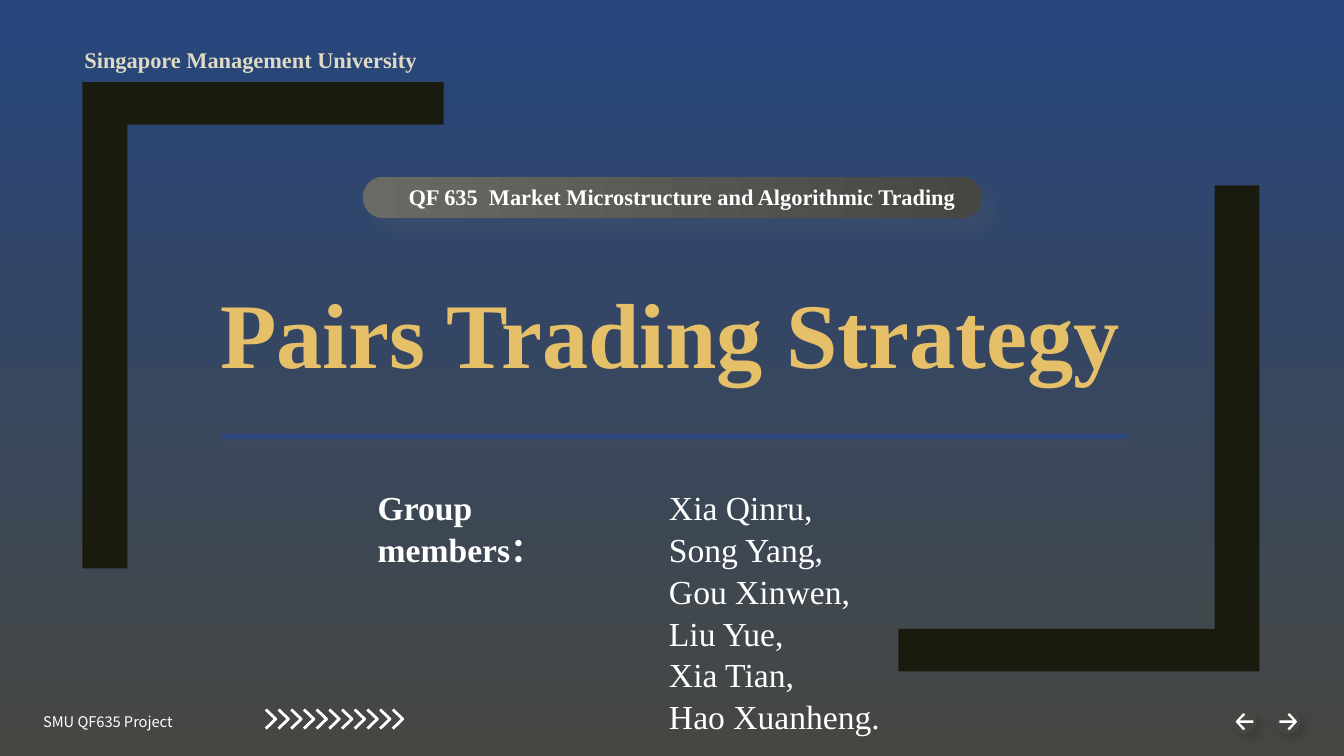
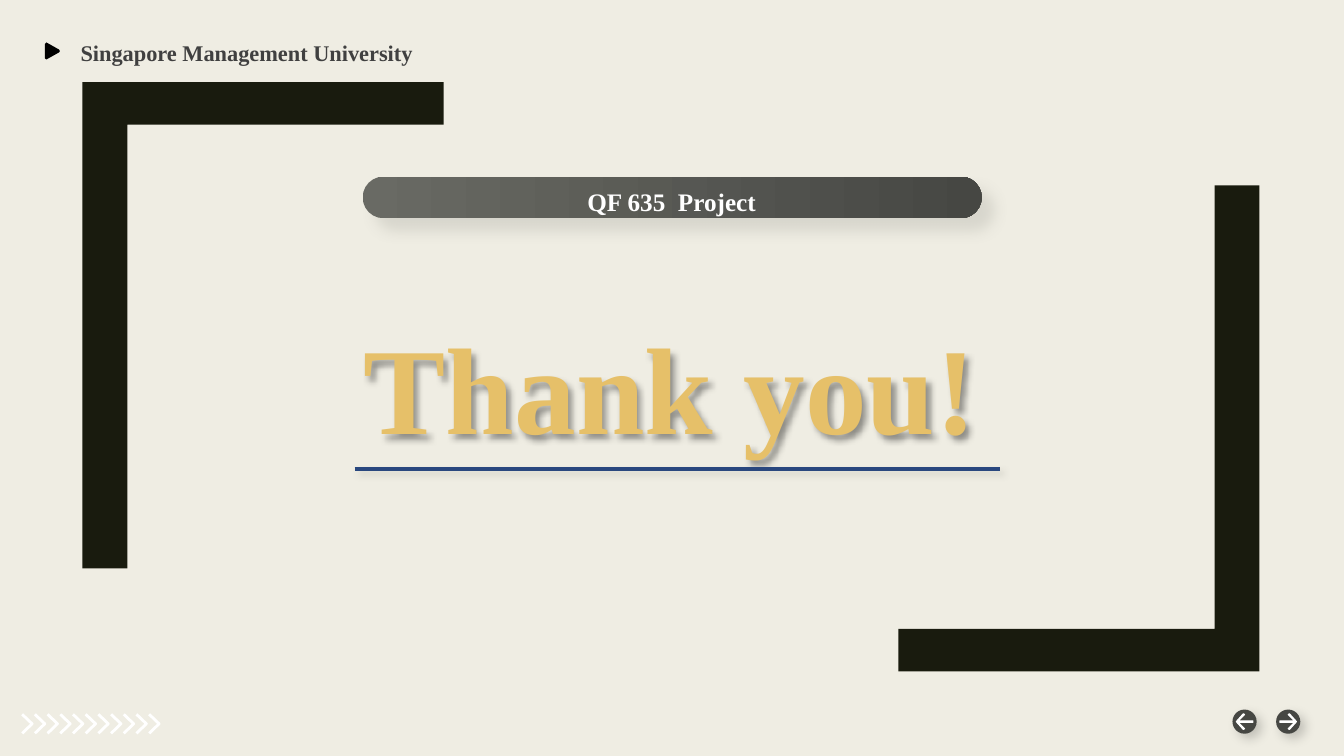
from lxml import etree
from pptx import Presentation
from pptx.dml.color import RGBColor
from pptx.enum.shapes import MSO_CONNECTOR, MSO_SHAPE
from pptx.enum.text import PP_ALIGN
from pptx.oxml.ns import qn
from pptx.util import Cm, Pt

ELLIPSE = MSO_SHAPE.OVAL
ROUNDED = MSO_SHAPE.ROUNDED_RECTANGLE
STRAIGHT = MSO_CONNECTOR.STRAIGHT
LEFT, CENTER = PP_ALIGN.LEFT, PP_ALIGN.CENTER

SERIF, SANS = "Times New Roman", "Noto Sans CJK SC"
WHITE, GOLD, CREAM = "FFFFFF", "E6C069", "EFEDE3"
NIGHT, SLATE, STONE = "191B0E", "464743", "696A64"
NAVY, BLUE = "27467D", "29477E"
BLACK, CHARCOAL, SAND = "000000", "404040", "DEDAC5"
BUTTON_SHADOW = ("0D0D0D", 20, 8, 5)
PILL_SHADOW = (STONE, 16, 10, 12)
RULE_SHADOW = (STONE, 20, 5, 4)
TITLE_SHADOW = (BLACK, 40, 4, 3)

HEADING = "Singapore Management University"
MEMBERS = ["Xia Qinru,", "Song Yang,", "Gou Xinwen,", "Liu Yue,", "Xia Tian,", "Hao Xuanheng."]


def color(value):
    return RGBColor.from_string(value)


def paint(fill, value):
    fill.solid()
    fill.fore_color.rgb = color(value)


def paint_gradient(fill, start, end, angle):
    fill.gradient()
    fill.gradient_angle = angle
    for stop, value in zip(fill.gradient_stops, (start, end)):
        stop.color.rgb = color(value)


def set_shadow(shape, shadow=None):
    properties = shape._element.spPr
    for effects in properties.findall(qn("a:effectLst")):
        properties.remove(effects)
    effects = etree.SubElement(properties, qn("a:effectLst"))
    if shadow:
        value, opacity, blur, distance = shadow
        outer = etree.SubElement(
            effects, qn("a:outerShdw"), blurRad=str(Pt(blur)), dist=str(Pt(distance)),
            dir=str(45 * 60000), algn="tl", rotWithShape="0")
        tone = etree.SubElement(outer, qn("a:srgbClr"), val=value)
        etree.SubElement(tone, qn("a:alpha"), val=str(opacity * 1000))


def add_outline(slide, points, fill=None, line=None, width=0.75, close=True):
    points = [(Cm(x), Cm(y)) for x, y in points]
    builder = slide.shapes.build_freeform(*points[0])
    builder.add_line_segments(points[1:], close=close)
    shape = builder.convert_to_shape()
    if fill:
        paint(shape.fill, fill)
    else:
        shape.fill.background()
    if line:
        paint(shape.line.fill, line)
        shape.line.width = Pt(width)
    else:
        shape.line.fill.background()
    set_shadow(shape)


def add_text(slide, box, lines, size, value, bold=True, font=SERIF, align=LEFT, spacing=None):
    shape = slide.shapes.add_textbox(*map(Cm, box))
    frame = shape.text_frame
    frame.word_wrap = True
    for index, line in enumerate(lines):
        paragraph = frame.add_paragraph() if index else frame.paragraphs[0]
        paragraph.text = line
        paragraph.alignment = align
        paragraph.line_spacing = spacing
        paragraph.font.name = font
        paragraph.font.size = Pt(size)
        paragraph.font.bold = bold
        paragraph.font.color.rgb = color(value)
    return shape


def add_bracket(slide, x, y, direction):
    length, height, post, beam = 9.1, 12.25, 1.13, 1.07
    corners = [(0, 0), (length, 0), (length, beam), (post, beam), (post, height), (0, height)]
    add_outline(slide, [(x + direction * dx, y + direction * dy) for dx, dy in corners], NIGHT)


def add_button(slide, x, y, direction):
    size = 0.61
    disc = slide.shapes.add_shape(ELLIPSE, Cm(x), Cm(y), Cm(size), Cm(size))
    paint(disc.fill, SLATE)
    disc.line.fill.background()
    set_shadow(disc, BUTTON_SHADOW)
    arrow = [(0, 0.18), (0.03, 0.2), (0.21, 0), (0.03, -0.2), (0, -0.18),
             (0.16, -0.02), (-0.21, -0.02), (-0.21, 0.02), (0.16, 0.02)]
    middle = size / 2
    add_outline(slide, [(x + middle + direction * dx, y + middle + dy) for dx, dy in arrow],
                WHITE, WHITE)


def add_chevrons(slide, x, y):
    count, pitch, width, height = 11, 0.32, 0.25, 0.48
    for index in range(count):
        left = x + index * pitch
        add_outline(slide, [(left, y), (left + width, y + height / 2), (left, y + height)],
                    line=WHITE, width=2, close=False)


def add_heading(slide, marker_top, marker_color, text_left, text_top, text_color):
    marker = [(0, 0.04), (0.04, 0), (0.36, 0.18), (0.38, 0.22), (0.36, 0.25), (0.04, 0.43), (0, 0.4)]
    add_outline(slide, [(1.13 + dx, marker_top + dy) for dx, dy in marker], marker_color)
    add_text(slide, (text_left, text_top, 11.18, 0.94), [HEADING], 16, text_color)


def add_pill(slide, label, label_box, size):
    pill = slide.shapes.add_shape(ROUNDED, Cm(9.14), Cm(4.45), Cm(15.6), Cm(1.05))
    pill.adjustments[0] = 0.5
    paint_gradient(pill.fill, STONE, SLATE, 0)
    pill.line.fill.background()
    set_shadow(pill, PILL_SHADOW)
    add_text(slide, label_box, [label], size, WHITE, align=CENTER)


def add_title(slide, title, top, height, size):
    return add_text(slide, (2.87, top, 28.04, height), [title], size, GOLD, align=CENTER)


def add_rule(slide, left, right, y):
    rule = slide.shapes.add_connector(STRAIGHT, Cm(left), Cm(y), Cm(right), Cm(y))
    paint(rule.line.fill, BLUE)
    rule.line.width = Pt(3)
    set_shadow(rule, RULE_SHADOW)


def add_base(presentation):
    slide = presentation.slides.add_slide(presentation.slide_layouts[6])
    add_bracket(slide, 31.74, 16.92, -1)
    add_bracket(slide, 2.08, 2.07, 1)
    add_button(slide, 31.06, 17.88, -1)
    add_button(slide, 32.16, 17.88, 1)
    return slide


def build_cover(presentation):
    slide = add_base(presentation)
    paint_gradient(slide.background.fill, NAVY, SLATE, 270)
    add_title(slide, "Pairs Trading Strategy", 6.83, 3.07, 66)
    add_rule(slide, 5.56, 28.4, 11)
    add_pill(slide, "QF 635  Market Microstructure and Algorithmic Trading",
             (9.63, 4.5, 15.11, 0.94), 16)
    add_heading(slide, 1.5, BLUE, 1.88, 1.05, SAND)
    add_text(slide, (9.27, 12.1, 7.04, 1.27), ["Group members："], 24, WHITE, spacing=1.04)
    add_text(slide, (16.61, 12.1, 11.18, 6.4), MEMBERS, 24, WHITE, bold=False, spacing=1.04)
    add_text(slide, (0.84, 17.83, 5.59, 0.71), ["SMU QF635 Project"], 10.5, WHITE,
             bold=False, font=SANS)
    add_chevrons(slide, 6.7, 17.88)


def build_closing(presentation):
    slide = add_base(presentation)
    paint(slide.background.fill, CREAM)
    title = add_title(slide, "Thank you!", 7.73, 4.01, 88)
    set_shadow(title, TITLE_SHADOW)
    add_rule(slide, 8.94, 25.2, 11.81)
    add_pill(slide, "QF 635  Project", (10.31, 4.56, 13.23, 1.02), 18)
    add_heading(slide, 1.07, BLACK, 1.78, 0.85, CHARCOAL)
    add_chevrons(slide, 0.56, 18)


def main():
    presentation = Presentation()
    presentation.slide_width = Cm(33.87)
    presentation.slide_height = Cm(19.05)
    build_cover(presentation)
    build_closing(presentation)
    presentation.save("out.pptx")


if __name__ == "__main__":
    main()
